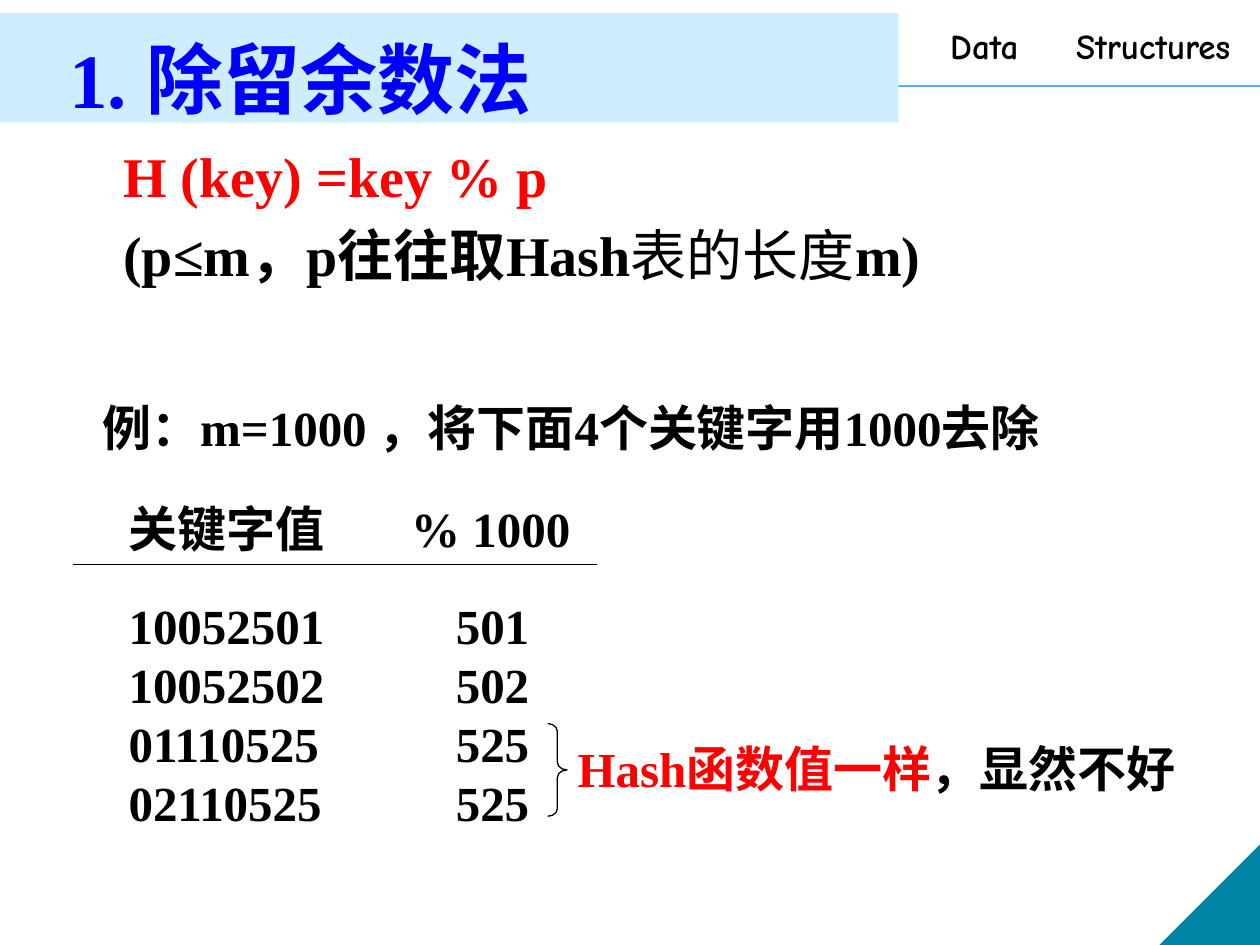
from dataclasses import dataclass
from typing import NamedTuple

from lxml import etree
from pptx import Presentation
from pptx.dml.color import RGBColor
from pptx.enum import shapes as sh, text as tx
from pptx.oxml import ns
from pptx.util import Pt


@dataclass(frozen=True)
class Theme:
    serif: str = "Times New Roman"
    sans: str = "Lato"
    comic: str = "Comic Neue"
    black: str = "000000"
    red: str = "FF0000"
    blue: str = "0000FF"
    sky: str = "5AAAED"
    pale: str = "CFEDFE"
    teal: str = "0085A4"
    head: float = 44
    rule: float = 32
    main: float = 28
    small: float = 20


T = Theme()


class Box(NamedTuple):
    left: float
    top: float
    wide: float
    high: float


class Run(NamedTuple):
    text: str
    size: float = T.main
    color: str = T.black
    font: str = T.serif
    bold: bool = True


class Para(NamedTuple):
    runs: list[Run]
    indent: float = 0
    before: float = 0
    tab: float = 0
    align: tx.PP_ALIGN = tx.PP_ALIGN.LEFT


class Label(NamedTuple):
    box: Box
    paras: list[Para]


def pts(vals) -> list:
    return [Pt(v) for v in vals]


def indent(par, left: float, tab: float) -> None:
    """Set the left margin and an optional tab stop, both in points."""
    props = par._p.get_or_add_pPr()
    props.set("marL", str(Pt(left)))
    props.set("indent", "0")
    if tab:
        stops = etree.SubElement(props, ns.qn("a:tabLst"))
        etree.SubElement(stops, ns.qn("a:tab"), pos=str(Pt(tab)), algn="l")


def write(frame, paras: list[Para]) -> None:
    frame.word_wrap = True
    frame.auto_size = tx.MSO_AUTO_SIZE.NONE
    frame.vertical_anchor = tx.MSO_ANCHOR.TOP
    frame.margin_left = frame.margin_right = 0
    frame.margin_top = frame.margin_bottom = 0
    for num, item in enumerate(paras):
        par = frame.add_paragraph() if num else frame.paragraphs[0]
        indent(par, item.indent, item.tab)
        par.alignment = item.align
        par.space_before = Pt(item.before)
        for bit in item.runs:
            run = par.add_run()
            run.text = bit.text
            run.font.size = Pt(bit.size)
            run.font.name = bit.font
            run.font.bold = bit.bold
            run.font.color.rgb = RGBColor.from_string(bit.color)


def label(slide, item: Label) -> None:
    write(slide.shapes.add_textbox(*pts(item.box)).text_frame, item.paras)


def shape(slide, kind, box: Box, fill: str = "", line: str = ""):
    form = slide.shapes.add_shape(kind, *pts(box))
    form.shadow.inherit = False
    if fill:
        form.fill.solid()
        form.fill.fore_color.rgb = RGBColor.from_string(fill)
    else:
        form.fill.background()
    if line:
        form.line.color.rgb = RGBColor.from_string(line)
        form.line.width = Pt(0.75)
    else:
        form.line.fill.background()
    return form


def rule(slide, left: float, right: float, top: float, color: str, width: float) -> None:
    line = slide.shapes.add_connector(
        sh.MSO_CONNECTOR.STRAIGHT, *pts((left, top, right, top)))
    line.line.color.rgb = RGBColor.from_string(color)
    line.line.width = Pt(width)
    etree.SubElement(line._element.spPr, ns.qn("a:effectLst"))


def column(left: float, wide: float, vals: list[str]) -> Label:
    just = tx.PP_ALIGN.JUSTIFY
    return Label(Box(left, 340.5, wide, 135),
                 [Para([Run(val)], align=just) for val in vals])


LABELS = [
    Label(Box(70.5, 81, 640, 200), [
        Para([Run("H (key) =key % p", T.rule, T.red)]),
        Para([Run("(p≤m，p往往取Hash", T.rule),
              Run("表的长度", T.rule, font=T.sans, bold=False),
              Run("m)", T.rule)], before=6.4),
    ]),
    Label(Box(58.5, 227, 640, 40),
          [Para([Run("例：m=1000 ，将下面4个关键字用1000去除")])]),
    Label(Box(73.5, 285, 124.5, 37.5), [Para([Run("关键字值")])]),
    Label(Box(235, 285, 121, 37.5), [Para([Run("% 1000")])]),
    column(73.5, 124.5, ["10052501", "10052502", "01110525", "02110525"]),
    column(260.5, 63.5, ["501", "502", "525", "525"]),
    Label(Box(330, 422, 372, 47.5),
          [Para([Run("Hash函数值一样", color=T.red), Run("，显然不好")])]),
]


def main() -> None:
    deck = Presentation()
    deck.slide_width, deck.slide_height = pts((720, 540))
    slide = deck.slides.add_slide(deck.slide_layouts[5])

    rule(slide, 0, 720, 49, T.sky, 1)
    nook = shape(slide, sh.MSO_SHAPE.RIGHT_TRIANGLE,
                 Box(663, 483, 57, 57), T.teal, T.teal)
    nook._element.spPr.find(ns.qn("a:xfrm")).set("flipH", "1")
    label(slide, Label(Box(543, 14, 177, 26), [
        Para([Run("Data\tStructures", T.small, font=T.comic)], tab=53)]))
    shape(slide, sh.MSO_SHAPE.RECTANGLE, Box(0, 7.5, 513.5, 62.5), T.pale)

    title = slide.shapes.title
    title.left, title.top, title.width, title.height = pts((39.5, 18, 470, 52))
    write(title.text_frame, [Para([Run("1. 除留余数法", T.head, T.blue)])])
    title._element.getparent().append(title._element)  # above the band

    rule(slide, 42, 341, 322.5, T.black, 0.75)
    for item in LABELS:
        label(slide, item)
    brace = shape(slide, sh.MSO_SHAPE.RIGHT_BRACE,
                  Box(313, 413.5, 11, 53), line=T.black)
    brace.adjustments[0] = 0.4
    brace.adjustments[1] = 0.5

    deck.save("out.pptx")


if __name__ == "__main__":
    main()
